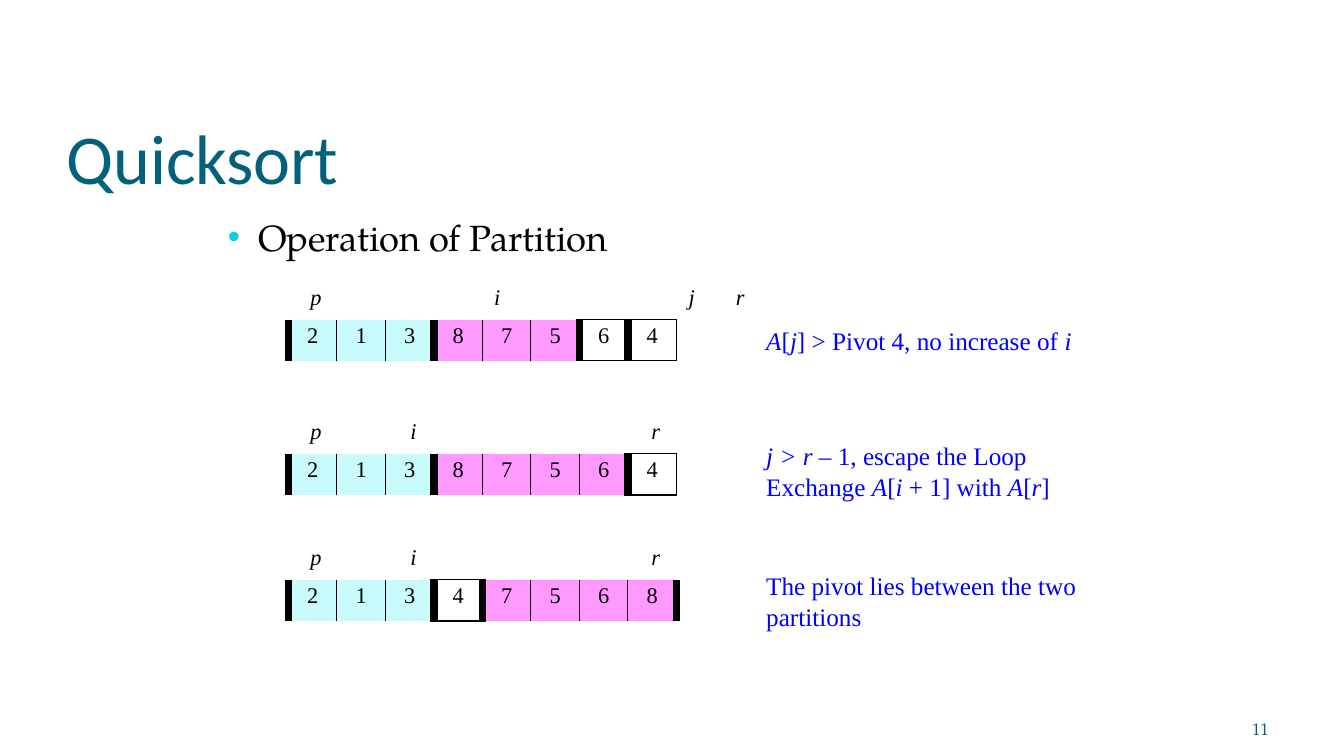
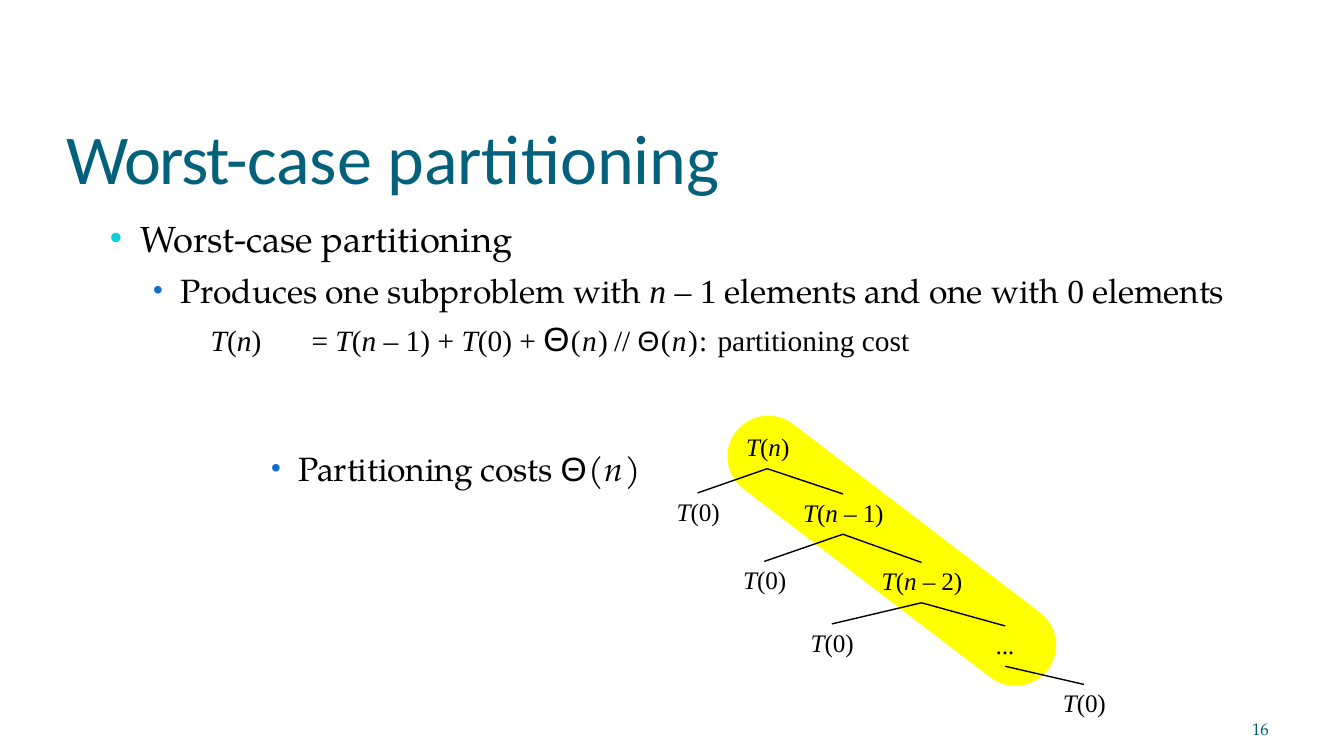
import math
from dataclasses import dataclass, replace

from lxml import etree
from pptx import Presentation
from pptx.dml.color import RGBColor
from pptx.enum import shapes, text
from pptx.oxml.ns import qn
from pptx.util import Inches, Pt


@dataclass(frozen=True)
class Style:
    font: str
    size: float
    color: str = "000000"
    spc: float = 0
    italic: bool = False


class Theme:
    serif, body_font = "Times New Roman", "TeX Gyre Pagella"
    black, yellow = "000000", "FFFF00"
    small, large, white = "C9FAFC", "FF99FF", None
    thin, bold = 1, 6
    title = Style("Calibri", 50, "04617B", -0.1)
    title_tight = replace(title, spc=-1.1)
    number = Style(body_font, 12, "045C75", -0.2)
    body = Style(body_font, 26, spc=-0.1)
    sub = replace(body, size=24)
    sub_math = Style(serif, 24)
    sub_wide = replace(sub, spc=1.1)
    formula = Style(serif, 21)
    formula_wide = replace(formula, spc=1)
    theta = Style("Arial", 24, spc=0.9)
    theta_small = replace(theta, size=20)
    cell = Style(serif, 16, spc=-0.5)
    index = replace(cell, italic=True)
    note = Style(serif, 18, "0000FF")
    node = Style(serif, 18, spc=-0.1)
    bullet = ("0BD0D9", 96)
    sub_bullet = ("0F6FC6", 83)


T = Theme

PARTITION_TITLE = [("Quicksort", T.title)]
PARTITION_HEAD = [("Operation of Partition", T.body)]
STEPS = [
    dict(top=3.17, groups=[("213", T.small), ("875", T.large), ("6", T.white), ("4", T.white)],
         marks=[("p", 3.07), ("i", 4.89), ("j", 6.82), ("r", 7.29)],
         note="*A*[*j*] > Pivot 4, no increase of *i*", note_top=3.21),
    dict(top=4.5, groups=[("213", T.small), ("8756", T.large), ("4", T.white)],
         marks=[("p", 3.07), ("i", 4.06), ("r", 6.45)],
         note="*j > r *– 1, escape the Loop Exchange *A*[*i *+ 1] with *A*[*r*]", note_top=4.36),
    dict(top=5.75, groups=[("213", T.small), ("4", T.white), ("7568", T.large)],
         marks=[("p", 3.07), ("i", 4.06), ("r", 6.45)],
         note="The pivot lies between the two partitions", note_top=5.65),
]

WORST_TITLE = [("Worst-", T.title_tight), ("case partitioning", T.title)]
WORST_HEAD = [("Worst-case partitioning", T.body)]
WORST_SUB = [("Produces one subproblem with ", T.sub), ("*n *– 1 ", T.sub_math),
             ("elements and one with ", T.sub), ("0 ", T.sub_math), ("elements", T.sub)]
RECURRENCE = [("*T*(*n*)\t= *T*(*n *– 1) + *T*(0) + ", T.formula), ("Θ", T.theta),
              ("(*n*)", T.formula_wide), ("\t// ", T.formula), ("Θ", T.theta_small),
              ("(*n*): ", T.formula_wide), ("partitioning cost", T.formula)]
COST = [("Partitioning costs ", T.sub), ("Θ", T.theta), ("(*n*)", T.sub_wide)]
SPINE = [("*T*(*n*)", 7.61, 4.27), ("*T*(*n *– 1)", 8.36, 4.92),
         ("*T*(*n *– 2)", 9.14, 5.6), ("*...*", 9.97, 6.23)]
LEAVES = [("*T*(0)", 6.92, 4.91), ("*T*(0)", 7.58, 5.59),
          ("*T*(0)", 8.25, 6.21), ("*T*(0)", 10.75, 6.81)]
BAND_START, BAND_END, BAND_WIDTH = (7.62, 4.53), (10.07, 6.4), 0.81


def add_runs(p, runs):
    for markup, style in runs:
        for k, part in enumerate(markup.split("*")):
            if part:
                r = p.add_run()
                r.text = part
                r.font.name = style.font
                r.font.size = Pt(style.size)
                r.font.italic = style.italic or k % 2 == 1
                r.font.color.rgb = RGBColor.from_string(style.color)
                r.font._element.set("spc", str(round(style.spc * 100)))


def format_paragraph(p, left=0.01, hang=0, before=1, line=None, bullet=None, tabs=()):
    p.space_before = Pt(before)
    if line:
        p.line_spacing = line
    pPr = p._p.get_or_add_pPr()
    pPr.set("marL", str(Inches(left)))
    pPr.set("indent", str(Inches(-hang)))
    if bullet:
        color, percent = bullet
        clr = etree.SubElement(pPr, qn("a:buClr"))
        etree.SubElement(clr, qn("a:srgbClr"), val=color)
        etree.SubElement(pPr, qn("a:buSzPct"), val=str(percent * 1000))
        etree.SubElement(pPr, qn("a:buFont"), typeface="Arial")
        etree.SubElement(pPr, qn("a:buChar"), char="•")
    if tabs:
        tab_list = etree.SubElement(pPr, qn("a:tabLst"))
        for pos in tabs:
            etree.SubElement(tab_list, qn("a:tab"), pos=str(Inches(pos)), algn="l")


def add_text(s, box, *paragraphs, inset=0.01, align=text.PP_ALIGN.LEFT):
    tf = s.shapes.add_textbox(*map(Inches, box)).text_frame
    tf.word_wrap = True
    tf.margin_left = tf.margin_right = tf.margin_bottom = 0
    tf.margin_top = Inches(inset)
    for k, (runs, layout) in enumerate(paragraphs):
        p = tf.add_paragraph() if k else tf.paragraphs[0]
        p.alignment = align
        format_paragraph(p, **layout)
        add_runs(p, runs)


def new_slide(prs, title, number):
    s = prs.slides.add_slide(prs.slide_layouts[6])
    add_text(s, (0.65, 1.13, 12.04, 0.86), (title, {}))
    add_text(s, (12.37, 7.16, 0.37, 0.17),
             ([(number, T.number)], dict(left=0.05, before=0, line=Pt(12.4))), inset=0)
    return s


def set_borders(cell, **widths):
    tcPr = cell._tc.get_or_add_tcPr()
    for side in "LRTB":
        width = widths[side]
        ln = etree.SubElement(tcPr, qn("a:ln" + side), w=str(Pt(width)))
        if width:
            fill = etree.SubElement(ln, qn("a:solidFill"))
            etree.SubElement(fill, qn("a:srgbClr"), val=T.black)
        else:
            etree.SubElement(ln, qn("a:noFill"))


def add_array(s, top, groups):
    cells = [(digit, fill) for digits, fill in groups for digit in digits]
    edges = [T.bold if k == 0 else T.thin for digits, _ in groups for k in range(len(digits))]
    edges.append(T.bold if groups[-1][1] else T.thin)
    frame = s.shapes.add_table(1, len(cells), Inches(2.86), Inches(top),
                               Inches(3.85), Inches(0.41))
    table = frame.table
    table.first_row = table.horz_banding = False
    for k, (digit, fill) in enumerate(cells):
        table.columns[k].width = Inches(3.85 / len(cells))
        cell = table.cell(0, k)
        cell.margin_left = cell.margin_right = cell.margin_bottom = 0
        cell.margin_top = Inches(0.04)
        rule = 0 if fill else T.thin
        set_borders(cell, L=edges[k], R=edges[k + 1], T=rule, B=rule)
        if fill:
            cell.fill.solid()
            cell.fill.fore_color.rgb = RGBColor.from_string(fill)
        else:
            cell.fill.background()
        p = cell.text_frame.paragraphs[0]
        p.alignment = text.PP_ALIGN.CENTER
        p.space_before = Pt(2.6)
        add_runs(p, [(digit, T.cell)])


def add_branch(s, parent, child):
    line = s.shapes.add_connector(
        shapes.MSO_CONNECTOR.STRAIGHT, Inches(parent[1]), Inches(parent[2] + 0.38),
        Inches(child[1]), Inches(child[2] - 0.02))
    line.line.color.rgb = RGBColor.from_string(T.black)
    line.line.width = Pt(T.thin)
    etree.SubElement(line._element.spPr, qn("a:effectLst"))


def add_band(s):
    (x1, y1), (x2, y2) = BAND_START, BAND_END
    length = math.hypot(x2 - x1, y2 - y1) + BAND_WIDTH
    sp = s.shapes.add_shape(
        shapes.MSO_SHAPE.ROUNDED_RECTANGLE, Inches((x1 + x2 - length) / 2),
        Inches((y1 + y2 - BAND_WIDTH) / 2), Inches(length), Inches(BAND_WIDTH))
    sp.adjustments[0] = 0.5
    sp.rotation = math.degrees(math.atan2(y2 - y1, x2 - x1))
    sp.shadow.inherit = False
    sp.fill.solid()
    sp.fill.fore_color.rgb = RGBColor.from_string(T.yellow)
    sp.line.fill.background()


def partition_slide(prs):
    s = new_slide(prs, PARTITION_TITLE, "11")
    add_text(s, (2.25, 2.12, 8.39, 0.5),
             (PARTITION_HEAD, dict(left=0.31, hang=0.3, bullet=T.bullet)))
    for step in STEPS:
        for mark, left in step["marks"]:
            add_text(s, (left, step["top"] - 0.37, 0.2, 0.29), ([(mark, T.index)], {}))
        add_array(s, step["top"], step["groups"])
        add_text(s, (7.59, step["note_top"], 3.2, 0.61),
                 ([(step["note"], T.note)], dict(before=0.8, line=1.01)))


def worst_case_slide(prs):
    s = new_slide(prs, WORST_TITLE, "16")
    add_text(s, (1.08, 2.02, 11.08, 1.53),
             (WORST_HEAD, dict(left=0.31, hang=0.3, before=8.3, bullet=T.bullet)),
             (WORST_SUB, dict(left=0.71, hang=0.27, before=8.3, line=Pt(28.1),
                              bullet=T.sub_bullet)),
             (RECURRENCE, dict(left=1.01, before=5.3, tabs=(2.01, 5.01))), inset=0.12)
    add_text(s, (2.68, 4.43, 3.72, 0.42),
             (COST, dict(left=0.28, hang=0.27, bullet=T.sub_bullet)))
    add_band(s)
    for label, center, top in SPINE + LEAVES:
        add_text(s, (center - 0.5, top, 1, 0.33), ([(label, T.node)], {}),
                 align=text.PP_ALIGN.CENTER)
    for parent, child in [*zip(SPINE, SPINE[1:]), *zip(SPINE, LEAVES)]:
        add_branch(s, parent, child)


def main():
    prs = Presentation()
    prs.slide_width, prs.slide_height = Inches(13.33), Inches(7.5)
    partition_slide(prs)
    worst_case_slide(prs)
    prs.save("out.pptx")


if __name__ == "__main__":
    main()
